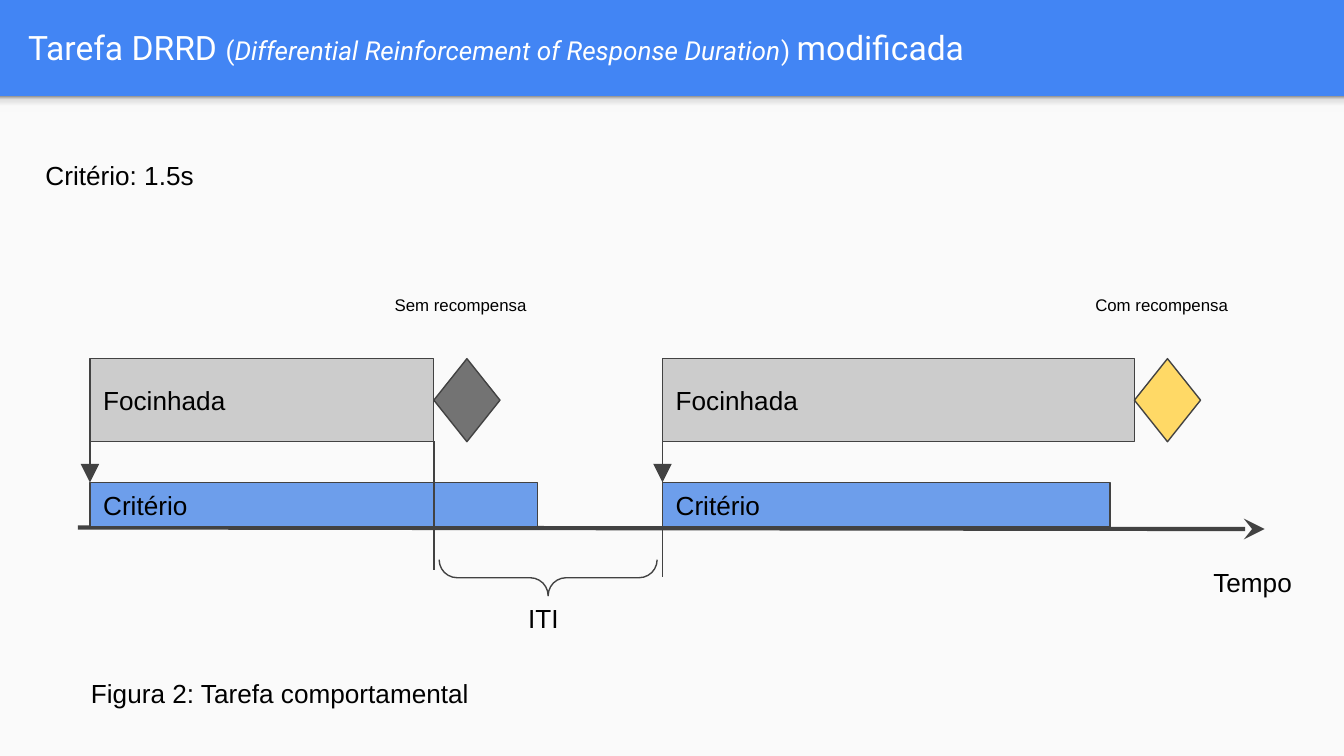
"""Build the slide on the modified DRRD task, with its timeline of two trials."""
from lxml.etree import SubElement
from pptx import Presentation
from pptx.dml.color import RGBColor
from pptx.enum.shapes import MSO_CONNECTOR as Connector, MSO_SHAPE as Preset
from pptx.enum.text import MSO_ANCHOR as Anchor, PP_ALIGN as Align
from pptx.oxml.ns import qn
from pptx.util import Cm, Pt

COLOURS = {
    "header": "4285F4", "page": "FAFAFA", "white": "FFFFFF", "text": "000000",
    "line": "424242", "poke": "CCCCCC", "criterion": "6D9EEB",
    "no_reward": "737373", "reward": "FFD966",
}
SHADOW_STOPS = [(0, "F9F9F9"), (36, "F9F9F9"), (80, "DEDEDE"), (100, "999999")]
TITLE_RUNS = [
    ("Tarefa DRRD ", 18, False),
    ("(", 14, False),
    ("Differential Reinforcement of Response Duration", 14, True),
    (") ", 14, False),
    ("modificada", 18, False),
]
TRIALS = [
    {"start": 1.7, "poke": 6.5, "label": "Sem recompensa", "colour": "no_reward"},
    {"start": 12.52, "poke": 8.92, "label": "Com recompensa", "colour": "reward"},
]
CAPTIONS = [
    ("Tempo", (22.68, 10.46, 2.11, 1.17)),
    ("ITI", (9.73, 11.13, 1.24, 1.75)),
    ("Critério: 1.5s", (0.61, 2.77, 4.09, 2.39)),
    ("Figura 2: Tarefa comportamental", (1.47, 12.55, 16.05, 1.88)),
]
WIDTH, HEIGHT, HEADER = 25.4, 14.29, 1.82
POKE_TOP, POKE_HEIGHT = 6.78, 1.57
CRITERION_TOP, CRITERION_WIDTH, CRITERION_HEIGHT = 9.12, 8.46, 0.84
DIAMOND_WIDTH, LABEL_WIDTH = 1.25, 3.23
BRACE_DEPTH, BRACE_MIDDLE, BRACE_GAP = 0.68, 10.92, 0.1


def rgb(name):
    return RGBColor.from_string(COLOURS[name])


def write(shape, runs, font="Arial", colour="text", anchor=Anchor.TOP):
    frame = shape.text_frame
    frame.word_wrap = True
    frame.vertical_anchor = anchor
    frame.margin_left = frame.margin_right = Cm(0.25)
    frame.margin_top = frame.margin_bottom = Cm(0.25)
    paragraph = frame.paragraphs[0]
    paragraph.alignment = Align.LEFT
    for text, size, italic in runs:
        run = paragraph.add_run()
        run.text = text
        run.font.name, run.font.size, run.font.italic = font, Pt(size), italic
        run.font.color.rgb = rgb(colour)


def add_text(slide, text, box, size=14):
    write(slide.shapes.add_textbox(*map(Cm, box)), [(text, size, False)])


def add_box(slide, preset, box, fill=None, outlined=True, text=None):
    shape = slide.shapes.add_shape(preset, *map(Cm, box))
    shape.shadow.inherit = False
    if fill:
        shape.fill.solid()
        shape.fill.fore_color.rgb = rgb(fill)
    else:
        shape.fill.background()
    if outlined:
        shape.line.color.rgb = rgb("line")
        shape.line.width = Pt(0.75)
    else:
        shape.line.fill.background()
    if text:
        write(shape, [(text, 14, False)], anchor=Anchor.MIDDLE)
    return shape


def add_line(slide, start, end, width=0.75, arrow=None):
    points = map(Cm, (*start, *end))
    connector = slide.shapes.add_connector(Connector.STRAIGHT, *points)
    connector.line.color.rgb = rgb("line")
    connector.line.width = Pt(width)
    properties = connector._element.spPr
    if arrow:
        line = properties.find(qn("a:ln"))
        SubElement(line, qn("a:tailEnd"), type=arrow, w="lg", len="lg")
    SubElement(properties, qn("a:effectLst"))


def add_header(slide):
    title = slide.shapes.title
    title.left, title.top, title.width, title.height = map(Cm, (0.28, 0.05, 24.51, 1.68))
    write(title, TITLE_RUNS, font="Roboto", colour="white", anchor=Anchor.MIDDLE)
    add_box(slide, Preset.RECTANGLE, (0, HEADER, WIDTH, HEIGHT - HEADER), "page", outlined=False)
    shadow = add_box(slide, Preset.RECTANGLE, (0, HEADER, WIDTH, 0.3), outlined=False)
    shadow.fill.gradient()
    shadow.fill.gradient_angle = 90
    stops = shadow._element.spPr.find(qn("a:gradFill")).find(qn("a:gsLst"))
    for stop in list(stops):
        stops.remove(stop)
    for position, colour in SHADOW_STOPS:
        stop = SubElement(stops, qn("a:gs"), pos=str(position * 1000))
        SubElement(stop, qn("a:srgbClr"), val=colour)


def add_trial(slide, trial):
    start, end = trial["start"], trial["start"] + trial["poke"]
    add_line(slide, (start, POKE_TOP), (start, CRITERION_TOP), arrow="triangle")
    add_box(slide, Preset.RECTANGLE, (start, POKE_TOP, trial["poke"], POKE_HEIGHT),
            "poke", text="Focinhada")
    add_box(slide, Preset.RECTANGLE, (start, CRITERION_TOP, CRITERION_WIDTH, CRITERION_HEIGHT),
            "criterion", text="Critério")
    add_box(slide, Preset.DIAMOND, (end, POKE_TOP, DIAMOND_WIDTH, POKE_HEIGHT), trial["colour"])
    label_left = end + (DIAMOND_WIDTH - LABEL_WIDTH) / 2
    add_text(slide, trial["label"], (label_left, 5.38, LABEL_WIDTH, 1.17), size=9)


def add_interval(slide, start, end):
    add_line(slide, (start, 10.77), (start, 8.33))
    add_line(slide, (end, 10.9), (end, 8.46))
    span, middle = end - start - 2 * BRACE_GAP, (start + end) / 2
    box = (middle - BRACE_DEPTH / 2, BRACE_MIDDLE - span / 2, BRACE_DEPTH, span)
    brace = add_box(slide, Preset.LEFT_BRACE, box)
    brace.rotation = 270
    brace.adjustments[0] = 0.5


def main():
    presentation = Presentation()
    presentation.slide_width, presentation.slide_height = Cm(WIDTH), Cm(HEIGHT)
    slide = presentation.slides.add_slide(presentation.slide_layouts[5])
    slide.background.fill.solid()
    slide.background.fill.fore_color.rgb = rgb("header")
    add_header(slide)
    add_line(slide, (1.47, 9.97), (23.9, 10), width=2.25, arrow="stealth")
    for trial in TRIALS:
        add_trial(slide, trial)
    first, second = TRIALS
    add_interval(slide, first["start"] + first["poke"], second["start"])
    for text, box in CAPTIONS:
        add_text(slide, text, box)
    presentation.save("out.pptx")


if __name__ == "__main__":
    main()
